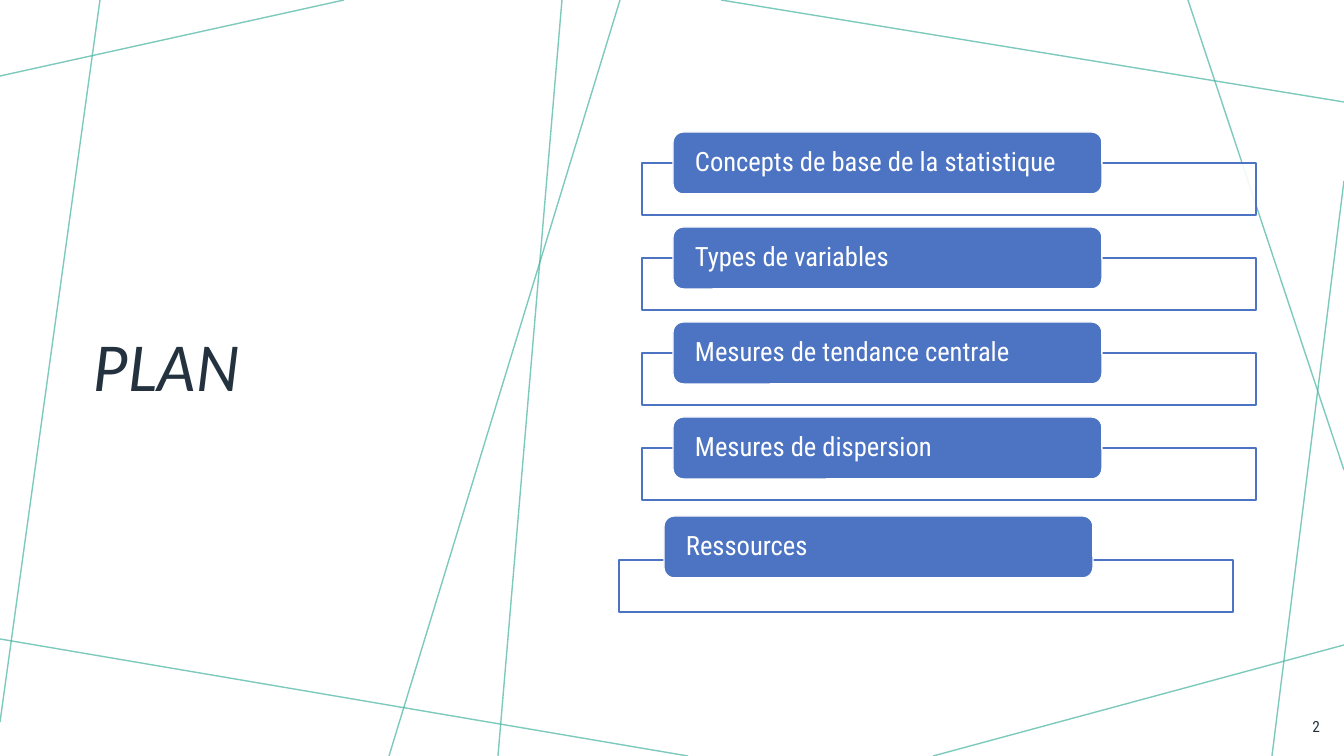
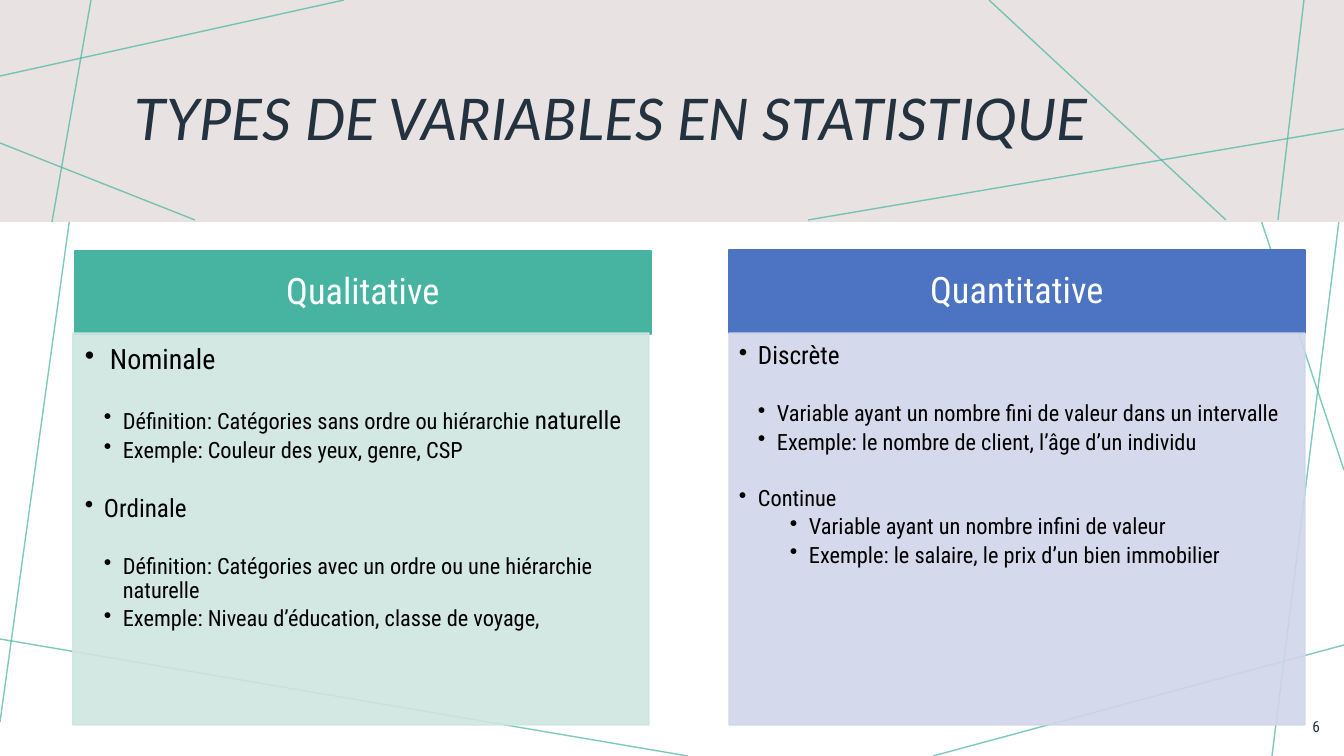
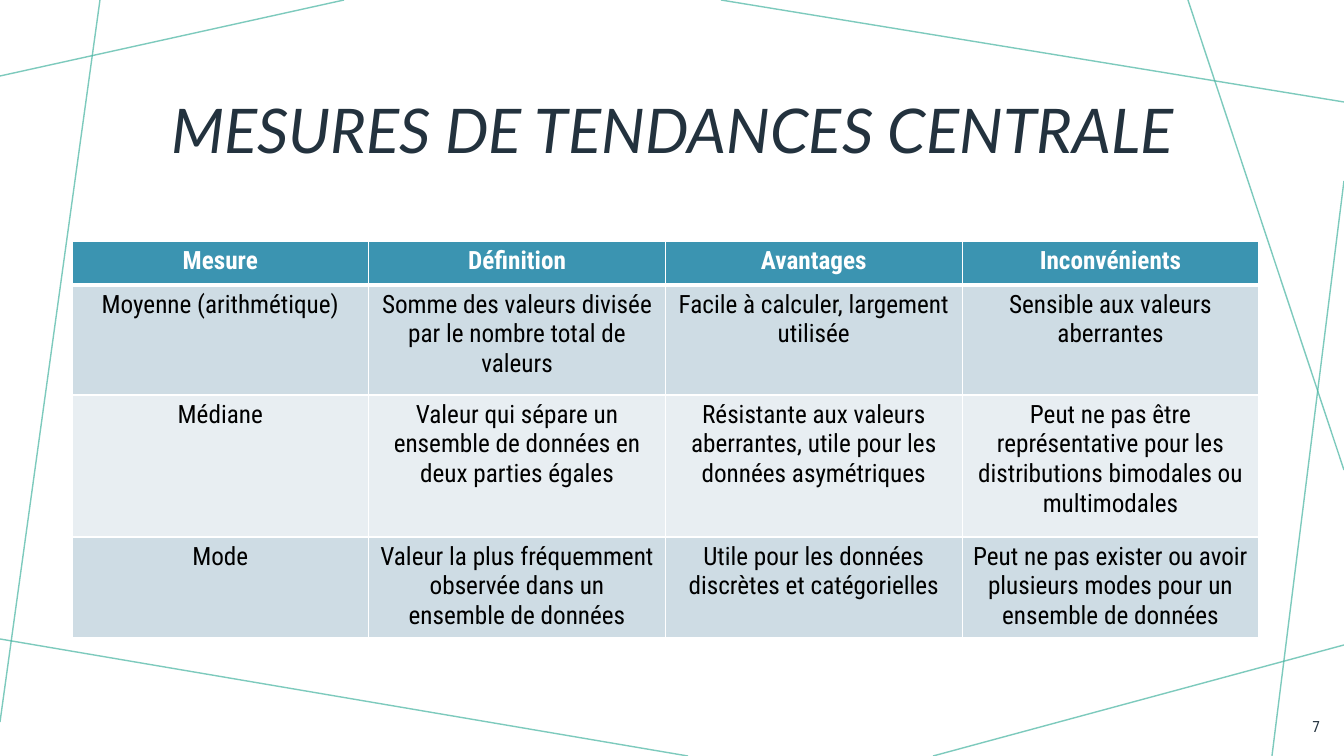
"""Builds three slides of a statistics course: plan, types of variables, central tendency."""
import pptx
import pptx.dml.color
import pptx.enum.shapes
import pptx.enum.text
import pptx.oxml.ns
import pptx.util
from lxml import etree

RGBColor = pptx.dml.color.RGBColor
Shape = pptx.enum.shapes.MSO_SHAPE
Align = pptx.enum.text.PP_ALIGN
Anchor = pptx.enum.text.MSO_ANCHOR
Pt = pptx.util.Pt
qn = pptx.oxml.ns.qn

WHITE = RGBColor(0xFF, 0xFF, 0xFF)
BLACK = RGBColor(0x00, 0x00, 0x00)
INK = RGBColor(0x23, 0x32, 0x3E)
GREEN = RGBColor(0x46, 0xB4, 0xA1)
PALE_GREEN = RGBColor(0xCF, 0xE5, 0xE0)
BLUE = RGBColor(0x4D, 0x74, 0xC3)
PALE_BLUE = RGBColor(0xD0, 0xD6, 0xE9)
BAND = RGBColor(0xE8, 0xE3, 0xE2)
TABLE_HEAD = RGBColor(0x3B, 0x94, 0xB1)
TABLE_ROWS = (RGBColor(0xE8, 0xEE, 0xF2), RGBColor(0xCE, 0xDC, 0xE4))

TITLE_FONT = "Lato"
BODY_FONT = "Roboto Condensed"
WIDTH, HEIGHT = 1344, 756
EMU_PER_PX = 12192000 / WIDTH

CORNER_LINE = (344, 0, 0, 76)
FRAME_LINES = (
    CORNER_LINE,
    (100, 0, 0, 722),
    (688, 756, 0, 639),
    (1344, 645, 933, 756),
    (1344, 181, 1272, 756),
    (1344, 470, 1188, 0),
    (1344, 102, 721, 0),
)


def px(length):
    return pptx.util.Emu(round(length * EMU_PER_PX))


def fade(part, percent):
    for color in part.iter(qn("a:srgbClr")):
        etree.SubElement(color, qn("a:alpha"), val=str(percent * 1000))


def write(frame, text, size, color, font=BODY_FONT, bold=False, italic=False, align=Align.LEFT,
          line=0.9, before=0, after=0, indent=None, hanging=19, tail="", tail_size=None):
    para = frame.paragraphs[0] if not frame.text else frame.add_paragraph()
    para.alignment = align
    para.line_spacing = line
    para.space_before = Pt(before)
    para.space_after = Pt(after)
    if indent is not None:
        properties = para._p.get_or_add_pPr()
        properties.set("marL", str(px(indent)))
        properties.set("indent", str(-px(hanging)))
        etree.SubElement(properties, qn("a:buChar"), char="•")
    for words, points in ((text, size), (tail, tail_size)):
        if words:
            span = para.add_run()
            span.text = words
            span.font.size = Pt(points)
            span.font.name = font
            span.font.bold = bold
            span.font.italic = italic
            span.font.color.rgb = color


class Slides:
    def __init__(self):
        self.deck = pptx.Presentation()
        self.deck.slide_width = px(WIDTH)
        self.deck.slide_height = px(HEIGHT)
        self.page = None

    def start(self, number):
        self.page = self.deck.slides.add_slide(self.deck.slide_layouts[6])
        self.lines(FRAME_LINES)
        write(self.text(1279, 706, 51, 40), str(number), 11, INK, align=Align.RIGHT, line=1.0)

    def lines(self, ends):
        for end in ends:
            line = self.page.shapes.add_connector(
                pptx.enum.shapes.MSO_CONNECTOR.STRAIGHT, *map(px, end))
            line.line.color.rgb = GREEN
            line.line.width = Pt(1)
            fade(line.element.spPr, 70)
            etree.SubElement(line.element.spPr, qn("a:effectLst"))

    def text(self, left, top, width, height):
        box = self.page.shapes.add_textbox(px(left), px(top), px(width), px(height))
        box.text_frame.word_wrap = True
        box.text_frame.vertical_anchor = Anchor.MIDDLE
        return box.text_frame

    def title(self, place, text, size=44, align=Align.LEFT):
        write(self.text(*place), text, size, INK, font=TITLE_FONT, italic=True, align=align)

    def shape(self, place, fill, outline=None, kind=Shape.RECTANGLE,
              insets=(10, 5, 10, 5), anchor=Anchor.MIDDLE):
        shape = self.page.shapes.add_shape(kind, *map(px, place))
        shape.shadow.inherit = False
        shape.fill.solid()
        shape.fill.fore_color.rgb = fill
        if outline is None:
            shape.line.fill.background()
        else:
            shape.line.color.rgb = outline
            shape.line.width = Pt(1)
        frame = shape.text_frame
        frame.word_wrap = True
        frame.vertical_anchor = anchor
        frame.margin_left, frame.margin_top, frame.margin_right, frame.margin_bottom = map(px, insets)
        return shape

    def plan_item(self, text, frame_left, frame_top, pill_left, pill_top):
        frame = self.shape((frame_left, frame_top, 614, 52), WHITE, BLUE)
        fade(frame.element.spPr.find(qn("a:solidFill")), 90)
        pill = self.shape((pill_left, pill_top, 429, 62), BLUE, WHITE,
                          Shape.ROUNDED_RECTANGLE, insets=(19, 3, 19, 3))
        write(pill.text_frame, text, 19, WHITE)

    def panel_head(self, left, top, text, fill):
        head = self.shape((left, top, 576, 83), fill, fill, insets=(20, 12, 20, 12))
        write(head.text_frame, text, 26, WHITE, align=Align.CENTER)

    def panel_body(self, left, fill, insets, items):
        body = self.shape((left, 333, 576, 392), fill, fill, insets=insets, anchor=Anchor.TOP)
        fade(body.element.spPr, 90)
        for text, size, form in items:
            write(body.text_frame, text, size, BLACK, after=3, **form)

    def table(self, left, top, width, heights, rows):
        table = self.page.shapes.add_table(
            len(rows), len(rows[0]), px(left), px(top), px(width), px(sum(heights))).table
        table.horz_banding = False
        for index, (height, texts) in enumerate(zip(heights, rows)):
            table.rows[index].height = px(height)
            head = index == 0
            for column, text in enumerate(texts):
                cell = table.cell(index, column)
                self.borders(cell, top=3 if index == 1 else 1, bottom=3 if head else 1)
                cell.fill.solid()
                cell.fill.fore_color.rgb = TABLE_HEAD if head else TABLE_ROWS[index % 2]
                write(cell.text_frame, text, 18, WHITE if head else BLACK,
                      bold=head, align=Align.CENTER, line=1.0)

    def borders(self, cell, top, bottom):
        properties = cell._tc.get_or_add_tcPr()
        for side, points in (("L", 1), ("R", 1), ("T", top), ("B", bottom)):
            border = etree.SubElement(properties, qn("a:ln" + side), w=str(Pt(points)))
            fill = etree.SubElement(border, qn("a:solidFill"))
            etree.SubElement(fill, qn("a:srgbClr"), val=str(WHITE))


def plan_slide(slides):
    slides.start(2)
    slides.title((84, 100, 410, 544), "PLAN")
    slides.lines(((620, 0, 389, 756), (562, 0, 498, 756)))
    topics = ("Concepts de base de la statistique", "Types de variables",
              "Mesures de tendance centrale", "Mesures de dispersion")
    for index, topic in enumerate(topics):
        slides.plan_item(topic, 642, 163 + 95 * index, 673, 132 + 95 * index)
    slides.plan_item("Ressources", 619, 560, 664, 516)


def variables_slide(slides):
    slides.start(6)
    slides.shape((0, 0, WIDTH, 222), BAND)
    slides.lines((
        CORNER_LINE,
        (91, 0, 52, 222),
        (195, 220, 0, 143),
        (1344, 129, 808, 220),
        (1226, 220, 989, 0),
        (1304, 0, 1278, 220),
    ))
    slides.title((125, 54, 1110, 135), "TYPES DE VARIABLES EN STATISTIQUE", size=41)

    topic = {"indent": 19}
    next_topic = {"indent": 19, "before": 20}
    detail = {"indent": 38}
    first_detail = {"indent": 38, "before": 20}
    deep_detail = {"indent": 70}
    slides.panel_head(75, 251, "Qualitative", GREEN)
    slides.panel_body(73, PALE_GREEN, (12, 12, 16, 17), (
        ("Nominale", 20, {"indent": 25, "hanging": 25}),
        ("Définition: Catégories sans ordre ou hiérarchie ", 16,
         {**first_detail, "tail": "naturelle", "tail_size": 18}),
        ("Exemple: Couleur des yeux, genre, CSP", 16, detail),
        ("Ordinale", 18, next_topic),
        ("Définition: Catégories avec un ordre ou une hiérarchie naturelle", 16, first_detail),
        ("Exemple: Niveau d’éducation, classe de voyage,", 16, detail),
    ))
    slides.panel_head(729, 250, "Quantitative", BLUE)
    slides.panel_body(729, PALE_BLUE, (10, 10, 14, 16), (
        ("Discrète", 18, topic),
        ("Variable ayant un nombre fini de valeur dans un intervalle", 16, first_detail),
        ("Exemple: le nombre de client, l’âge d’un individu", 16, detail),
        ("Continue", 16, next_topic),
        ("Variable ayant un nombre infini de valeur", 16, deep_detail),
        ("Exemple: le salaire, le prix d’un bien immobilier", 16, deep_detail),
    ))


def measures_slide(slides):
    slides.start(7)
    slides.title((127, 58, 1092, 152), "MESURES DE TENDANCES CENTRALE", align=Align.CENTER)
    slides.table(72, 241, 1187, (44, 110, 142, 101), (
        ("Mesure", "Définition", "Avantages", "Inconvénients"),
        ("Moyenne (arithmétique)",
         "Somme des valeurs divisée par le nombre total de valeurs",
         "Facile à calculer, largement utilisée",
         "Sensible aux valeurs aberrantes"),
        ("Médiane",
         "Valeur qui sépare un ensemble de données en deux parties égales",
         "Résistante aux valeurs aberrantes, utile pour les données asymétriques",
         "Peut ne pas être représentative pour les distributions bimodales ou multimodales"),
        ("Mode",
         "Valeur la plus fréquemment observée dans un ensemble de données",
         "Utile pour les données discrètes et catégorielles",
         "Peut ne pas exister ou avoir plusieurs modes pour un ensemble de données"),
    ))


def main():
    slides = Slides()
    plan_slide(slides)
    variables_slide(slides)
    measures_slide(slides)
    slides.deck.save("out.pptx")


if __name__ == "__main__":
    main()
